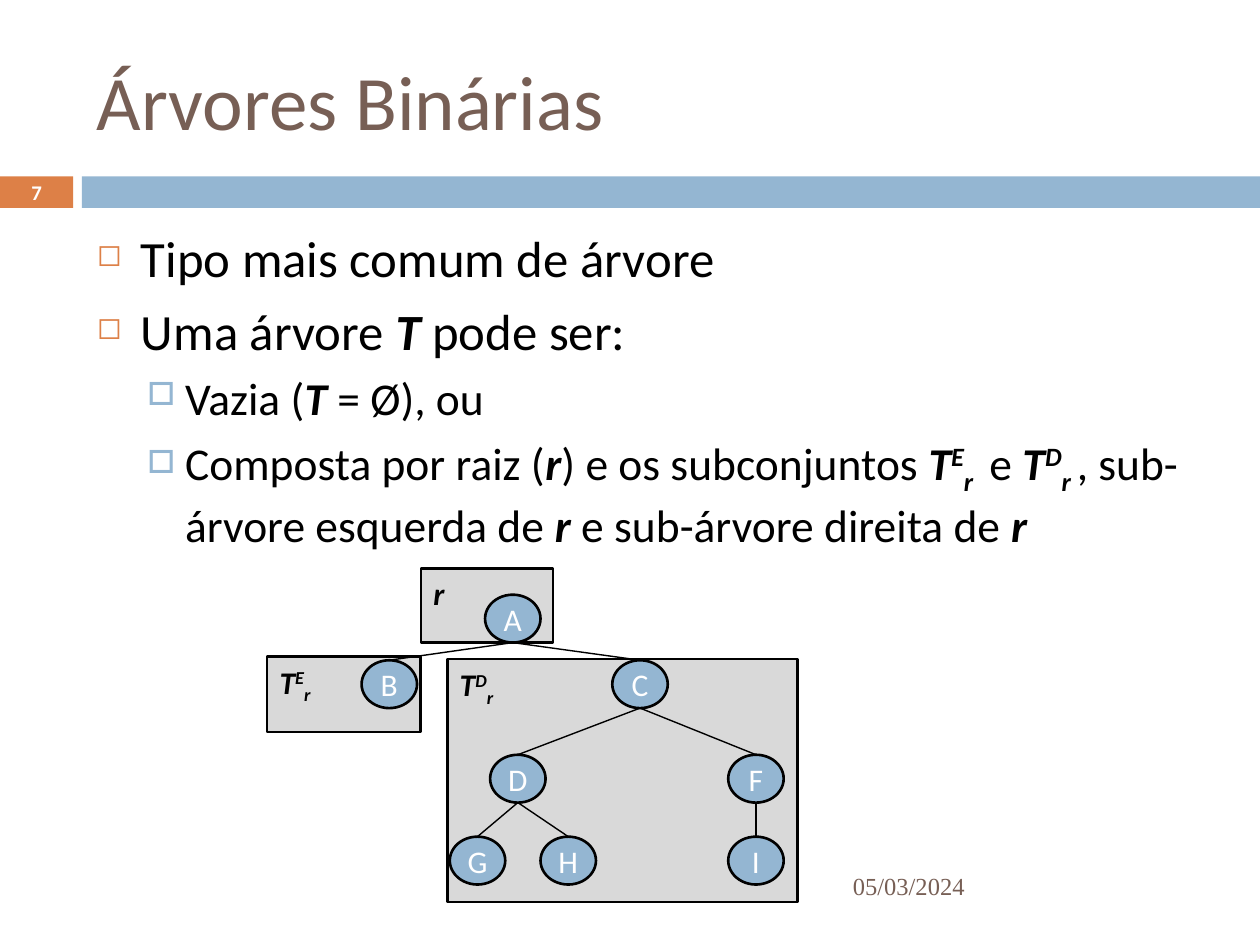
from dataclasses import dataclass

from lxml import etree
from pptx import Presentation
from pptx.dml.color import RGBColor
from pptx.enum.shapes import MSO_CONNECTOR, MSO_SHAPE
from pptx.enum.text import MSO_ANCHOR, PP_ALIGN
from pptx.oxml.ns import qn
from pptx.util import Inches, Pt

RECTANGLE, OVAL = MSO_SHAPE.RECTANGLE, MSO_SHAPE.OVAL
STRAIGHT = MSO_CONNECTOR.STRAIGHT
TOP, MIDDLE = MSO_ANCHOR.TOP, MSO_ANCHOR.MIDDLE
LEFT, CENTER = PP_ALIGN.LEFT, PP_ALIGN.CENTER


@dataclass(frozen=True)
class Theme:
    font: str = "Calibri"
    date_font: str = "Times New Roman"
    brown: str = "775F55"
    orange: str = "DD8047"
    blue: str = "94B6D2"
    gray: str = "D9D9D9"
    black: str = "000000"
    white: str = "FFFFFF"
    title_size: float = 44
    body_sizes: tuple = (29, 26)
    tree_size: float = 18
    date_size: float = 14
    number_size: float = 11.9
    outline: float = 1.5
    branch: float = 0.79


theme = Theme()
deck = Presentation()
deck.slide_width, deck.slide_height = Inches(10), Inches(7.5)
page = deck.slides.add_slide(deck.slide_layouts[6])
CELL = deck.slide_width // 100  # grid of 100 columns by 75 rows
BASELINES = {"sup": "30000", "sub": "-25000"}


def write(para, spans, size, color, font=theme.font):
    """Fill a paragraph from (text, style) spans; style is "", "strong", "sup" or "sub"."""
    for text, style in spans:
        span = para.add_run()
        span.text = text
        span.font.name, span.font.size = font, Pt(size)
        span.font.color.rgb = RGBColor.from_string(color)
        span.font.bold = span.font.italic = bool(style)
        if style in BASELINES:
            span.font._element.set("baseline", BASELINES[style])


def add_box(area, kind=None, fill=None, outline=None, anchor=TOP, inset=(1, 0.5)):
    """Add a preset shape, or a text box when kind is None; area is in grid cells."""
    frame = [round(length * CELL) for length in area]
    if kind is None:
        box = page.shapes.add_textbox(*frame)
    else:
        box = page.shapes.add_shape(kind, *frame)
        box.shadow.inherit = False
        box.fill.solid()
        box.fill.fore_color.rgb = RGBColor.from_string(fill)
        if outline:
            box.line.color.rgb = RGBColor.from_string(outline)
            box.line.width = Pt(theme.outline)
        else:
            box.line.fill.background()
    text = box.text_frame
    text.word_wrap, text.vertical_anchor = True, anchor
    text.margin_left = text.margin_right = round(inset[0] * CELL)
    text.margin_top = text.margin_bottom = round(inset[1] * CELL)
    return box


# Header band
add_box((0, 14, 5.8, 2.5), RECTANGLE, theme.orange)
add_box((6.5, 14, 93.5, 2.5), RECTANGLE, theme.blue)

# Body
body = [
    (0, [("Tipo mais comum de árvore", "")]),
    (0, [("Uma árvore ", ""), ("T", "strong"), (" pode ser:", "")]),
    (1, [("Vazia (", ""), ("T", "strong"), (" = Ø), ou", "")]),
    (1, [("Composta por raiz (", ""), ("r", "strong"), (") e os subconjuntos ", ""),
         ("T", "strong"), ("E", "sup"), ("r ", "sub"), (" e ", ""),
         ("T", "strong"), ("D", "sup"), ("r ", "sub"),
         (", sub-árvore esquerda de ", ""), ("r", "strong"),
         (" e sub-árvore direita de ", ""), ("r", "strong")]),
]
# Per level: left margin and hanging indent in cells, space before, bullet, colour, percent
levels = [
    (3.5, 3.5, 7, "◻", theme.orange, 60),
    (7, 3, 5.5, "□", theme.blue, 70),
]
text = add_box((6.7, 17.5, 89.2, 49.2)).text_frame
for index, (level, spans) in enumerate(body):
    para = text.add_paragraph() if index else text.paragraphs[0]
    margin, hanging, gap, bullet, color, percent = levels[level]
    para.level, para.space_before = level, Pt(gap)
    write(para, spans, theme.body_sizes[level], theme.black)
    properties = para._p.get_or_add_pPr()
    properties.set("marL", str(round(margin * CELL)))
    properties.set("indent", str(round(-hanging * CELL)))
    bullet_color = etree.SubElement(properties, qn("a:buClr"))
    etree.SubElement(bullet_color, qn("a:srgbClr"), val=color)
    etree.SubElement(properties, qn("a:buSzPct"), val=str(percent * 1000))
    etree.SubElement(properties, qn("a:buChar"), char=bullet)

# Title and date
title = add_box((6.7, 2.5, 89.2, 10.8), anchor=MIDDLE)
write(title.text_frame.paragraphs[0], [("Árvores Binárias", "")], theme.title_size, theme.brown)
date = add_box((66.7, 68.3, 29.2, 4), anchor=MIDDLE)
write(date.text_frame.paragraphs[0], [("05/03/2024", "")],
      theme.date_size, theme.brown, theme.date_font)

# Slide number
number = add_box((0, 13.9, 5.8, 2.7), anchor=MIDDLE)
para = number.text_frame.paragraphs[0]
para.alignment = CENTER
write(para, [("7", "")], theme.number_size, theme.white)
para.runs[0].font.bold = True

# Subtree regions
regions = [
    ((33.4, 45.1, 10.5, 5.9), [("r", "strong")]),
    ((35.5, 52.3, 27.8, 19.3), [("T", "strong"), ("D", "sup"), ("r", "sub")]),
    ((21.2, 52.1, 12.2, 6), [("T", "strong"), ("E", "sup"), ("r", "sub")]),
]
for area, label in regions:
    region = add_box(area, RECTANGLE, theme.gray, theme.black)
    para = region.text_frame.paragraphs[0]
    para.alignment = LEFT
    write(para, label, theme.tree_size, theme.black)

# Tree nodes: centre column and top row of each
NODE_WIDTH, NODE_HEIGHT = 4.4, 3.8
root_row, child_row, inner_row, leaf_row = 47.2, 52.4, 59.9, 66.4
nodes = {
    "A": (40.7, root_row),
    "B": (30.9, child_row),
    "C": (50.8, child_row),
    "D": (41.1, inner_row),
    "F": (60, inner_row),
    "I": (60, leaf_row),
    "H": (45.1, leaf_row),
    "G": (37.9, leaf_row),
}
for name, (center, top) in nodes.items():
    node = add_box((center - NODE_WIDTH / 2, top, NODE_WIDTH, NODE_HEIGHT),
                   OVAL, theme.blue, theme.black, MIDDLE, inset=(0, 0))
    node.text_frame.word_wrap = False
    para = node.text_frame.paragraphs[0]
    para.alignment = CENTER
    write(para, [(name, "")], theme.tree_size, theme.white)

# Branches run from the bottom of a parent to the top of its child
for parent, child in ("AB", "AC", "CD", "CF", "FI", "DG", "DH"):
    start, parent_top = nodes[parent]
    end, child_top = nodes[child]
    points = (start, parent_top + NODE_HEIGHT, end, child_top)
    branch = page.shapes.add_connector(STRAIGHT, *[round(value * CELL) for value in points])
    branch.line.color.rgb = RGBColor.from_string(theme.black)
    branch.line.width = Pt(theme.branch)
    etree.SubElement(branch._element.spPr, qn("a:effectLst"))

deck.save("out.pptx")
